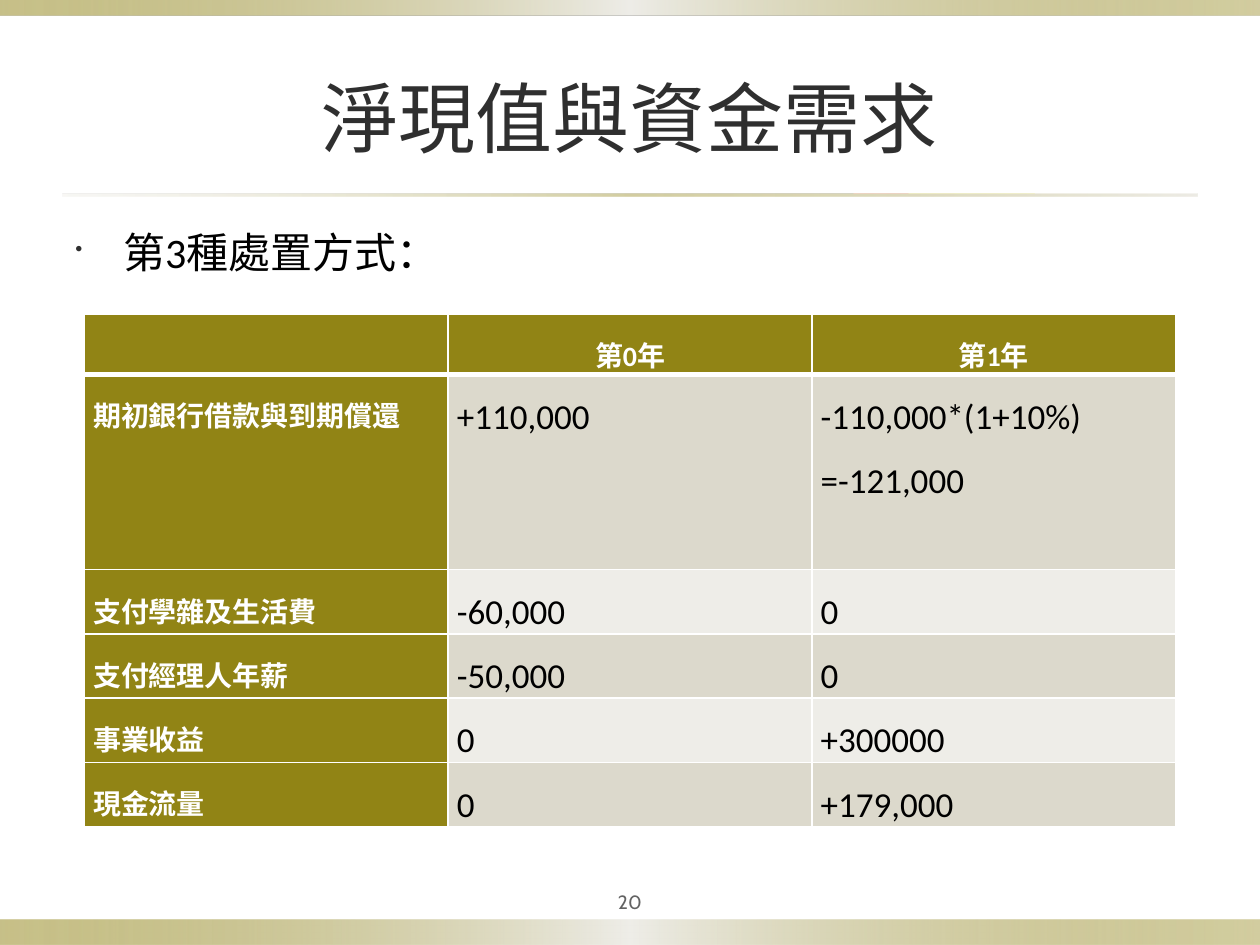
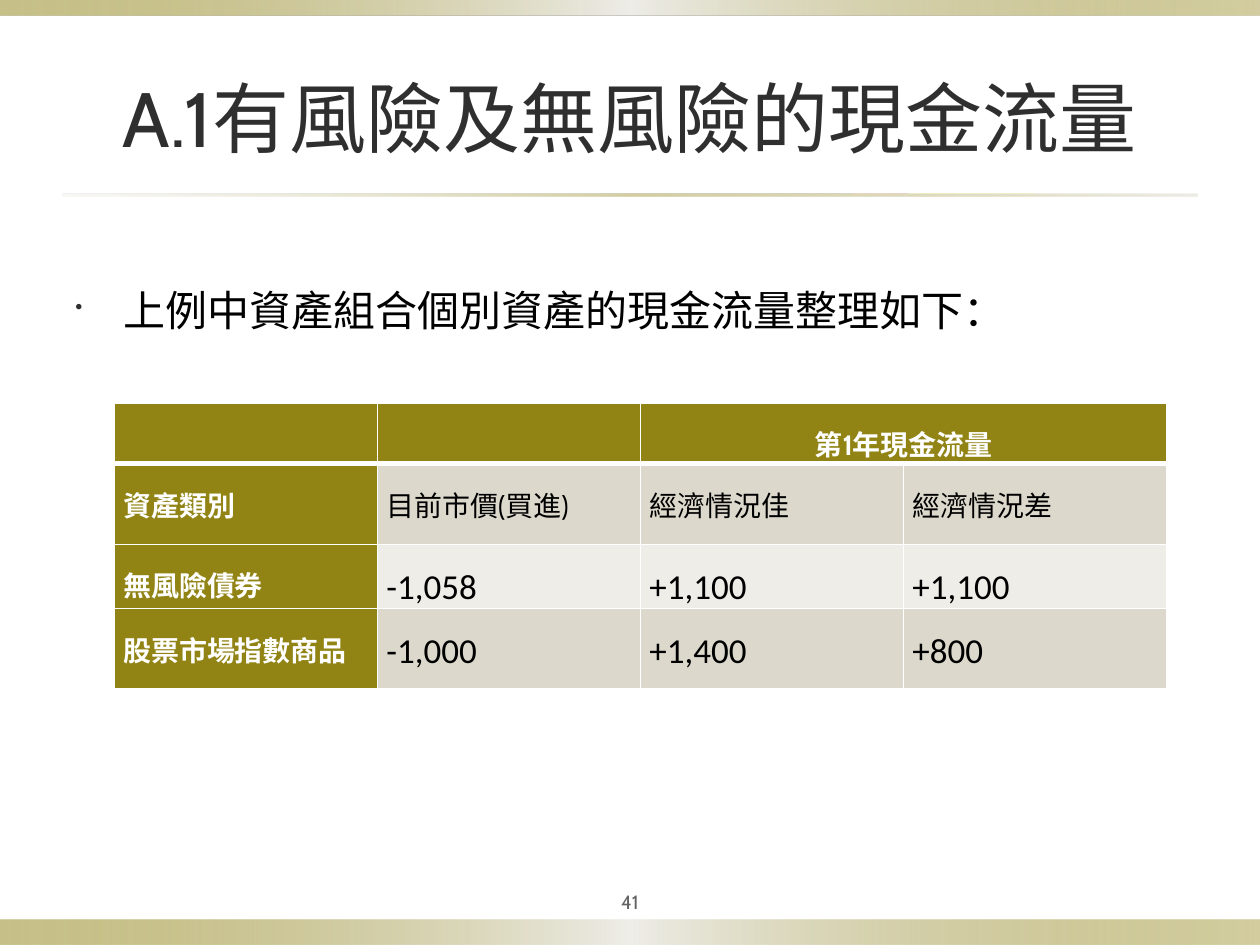
from lxml.etree import SubElement
from pptx import Presentation
from pptx.dml.color import RGBColor
from pptx.enum.shapes import MSO_SHAPE
from pptx.enum.text import MSO_ANCHOR, PP_ALIGN
from pptx.oxml.ns import qn
from pptx.util import Inches, Pt

COLORS = {
    "olive": "918415", "sand": "DCD9CC", "pale": "EEEDE8", "white": "FFFFFF",
    "title": "2F2F2F", "page": "636363", "black": "000000",
}
BAND = [(0, "olive", 50), (50, "pale", 100), (100, "olive", 40)]
RULE = [(0, "sand", 20), (50, "olive", 40), (100, "sand", 50)]


def rgb(name):
    """Return a palette colour."""
    return RGBColor.from_string(COLORS[name])


def node(parent, tag, **attrs):
    """Add a DrawingML child element."""
    return SubElement(parent, qn(tag), {k: str(v) for k, v in attrs.items()})


def write(tf, text, size=16, font="Cabin", color="black", bold=False,
          align=PP_ALIGN.LEFT, spacing=None):
    """Write each line of text as one formatted paragraph."""
    for i, line in enumerate(text.split("\n")):
        p = tf.add_paragraph() if i else tf.paragraphs[0]
        p.alignment = align
        if spacing:
            p.line_spacing = spacing
        r = p.add_run()
        r.text = line
        r.font.size, r.font.name, r.font.bold = Pt(size), font, bold
        r.font.color.rgb = rgb(color)


def add_text(slide, box, text, anchor=MSO_ANCHOR.TOP, inset=None, **fmt):
    """Add a wrapping text box and return its frame."""
    tf = slide.shapes.add_textbox(*map(Inches, box)).text_frame
    tf.word_wrap = True
    tf.vertical_anchor = anchor
    if inset is not None:
        tf.margin_left = tf.margin_right = Inches(inset)
        tf.margin_top = tf.margin_bottom = Inches(inset)
    write(tf, text, **fmt)
    return tf


def add_band(slide, box, stops):
    """Add a borderless bar with a horizontal translucent gradient."""
    sp = slide.shapes.add_shape(MSO_SHAPE.RECTANGLE, *map(Inches, box))
    sp.shadow.inherit = False
    sp.line.fill.background()
    sp.fill.gradient()
    sp.fill.gradient_angle = 0
    gs_list = sp.element.spPr.find(qn("a:gradFill")).find(qn("a:gsLst"))
    for gs in list(gs_list):
        gs_list.remove(gs)
    for pos, color, alpha in stops:
        gs = node(gs_list, "a:gs", pos=pos * 1000)
        clr = node(gs, "a:srgbClr", val=COLORS[color])
        if alpha < 100:
            node(clr, "a:alpha", val=alpha * 1000)


def add_frame(slide, title, page):
    """Add the bands, title, rule and page number shared by all slides."""
    add_band(slide, (0, 7.3, 10, 0.2), BAND)
    add_band(slide, (0, 0, 10, 0.12), BAND)
    add_band(slide, (0.5, 1.54, 9, 0.02), RULE)
    add_text(slide, (0.5, 0.3, 9, 1.25), title, anchor=MSO_ANCHOR.MIDDLE,
             size=44, color="title", align=PP_ALIGN.CENTER)
    add_text(slide, (4.5, 7, 1, 0.31), page, anchor=MSO_ANCHOR.MIDDLE,
             inset=0.05, size=11, color="page", align=PP_ALIGN.CENTER)


def add_bullet(slide, box, text, **fmt):
    """Add a bulleted lead-in sentence."""
    p = add_text(slide, box, text, size=24, **fmt).paragraphs[0]
    p.space_before = Pt(4.8)
    pPr = p._p.get_or_add_pPr()
    pPr.set("marL", str(Inches(0.38)))
    pPr.set("indent", str(Inches(-0.38)))
    node(node(pPr, "a:buClr"), "a:srgbClr", val=COLORS["title"])
    node(pPr, "a:buSzPct", val=50000)
    node(pPr, "a:buChar", char="•")


def add_borders(cell, row):
    """Draw white cell borders, thick under the header row."""
    widths = {"L": 1, "R": 1, "T": 3 if row == 1 else 1, "B": 3 if row == 0 else 1}
    tcPr = cell._tc.get_or_add_tcPr()
    for side, width in widths.items():
        ln = node(tcPr, f"a:ln{side}", w=Pt(width))
        node(node(ln, "a:solidFill"), "a:srgbClr", val=COLORS["white"])


def style_cell(cell, text, row, col, header_font):
    """Fill and write one cell according to its row and column."""
    heading = row == 0 or col == 0
    add_borders(cell, row)
    cell.fill.solid()
    cell.fill.fore_color.rgb = rgb("olive" if heading else "sand" if row % 2 else "pale")
    cell.margin_left = cell.margin_right = Inches(0.07)
    cell.margin_top = cell.margin_bottom = 0
    if not text:
        return
    number = not heading and text[0] in "+-0"
    write(cell.text_frame, text, spacing=1.5, bold=heading,
          size=20 if number else 16,
          font="Calibri" if number else header_font if row == 0 else "Cabin",
          color="white" if heading else "black",
          align=PP_ALIGN.CENTER if row == 0 else PP_ALIGN.LEFT)


def add_cash_table(slide, box, heights, rows, header_font="Cabin"):
    """Add a cash flow table with equal columns."""
    left, top, width = box
    n_cols = len(rows[0])
    table = slide.shapes.add_table(
        len(rows), n_cols, Inches(left), Inches(top), Inches(width),
        Inches(sum(heights))).table
    for column in table.columns:
        column.width = Inches(width / n_cols)
    for i, (height, texts) in enumerate(zip(heights, rows)):
        table.rows[i].height = Inches(height)
        for j, text in enumerate(texts):
            style_cell(table.cell(i, j), text, i, j, header_font)
    return table


def build_financing(prs):
    """Build the net present value and funding slide."""
    slide = prs.slides.add_slide(prs.slide_layouts[6])
    add_frame(slide, "淨現值與資金需求", "20")
    add_bullet(slide, (0.5, 1.75, 9, 0.6), "第3種處置方式：", font="Calibri")
    add_cash_table(slide, (0.67, 2.49, 8.66), [0.48, 1.55] + [0.51] * 4, [
        ["", "第0年", "第1年"],
        ["期初銀行借款與到期償還", "+110,000", "-110,000*(1+10%)\n=-121,000"],
        ["支付學雜及生活費", "-60,000", "0"],
        ["支付經理人年薪", "-50,000", "0"],
        ["事業收益", "0", "+300000"],
        ["現金流量", "0", "+179,000"],
    ], header_font="Calibri")


def build_risk(prs):
    """Build the risky and risk-free cash flow slide."""
    slide = prs.slides.add_slide(prs.slide_layouts[6])
    add_frame(slide, "A.1有風險及無風險的現金流量", "41")
    add_bullet(slide, (0.5, 2.21, 9, 0.6), "上例中資產組合個別資產的現金流量整理如下：")
    table = add_cash_table(slide, (0.91, 3.2, 8.35), [0.48, 0.64, 0.51, 0.64], [
        ["", "", "第1年現金流量", ""],
        ["資產類別", "目前市價(買進)", "經濟情況佳", "經濟情況差"],
        ["無風險債券", "-1,058", "+1,100", "+1,100"],
        ["股票市場指數商品", "-1,000", "+1,400", "+800"],
    ])
    table.cell(0, 2).merge(table.cell(0, 3))


def main():
    """Build and save the presentation."""
    prs = Presentation()
    prs.slide_width, prs.slide_height = Inches(10), Inches(7.5)
    build_financing(prs)
    build_risk(prs)
    prs.save("out.pptx")


if __name__ == "__main__":
    main()
